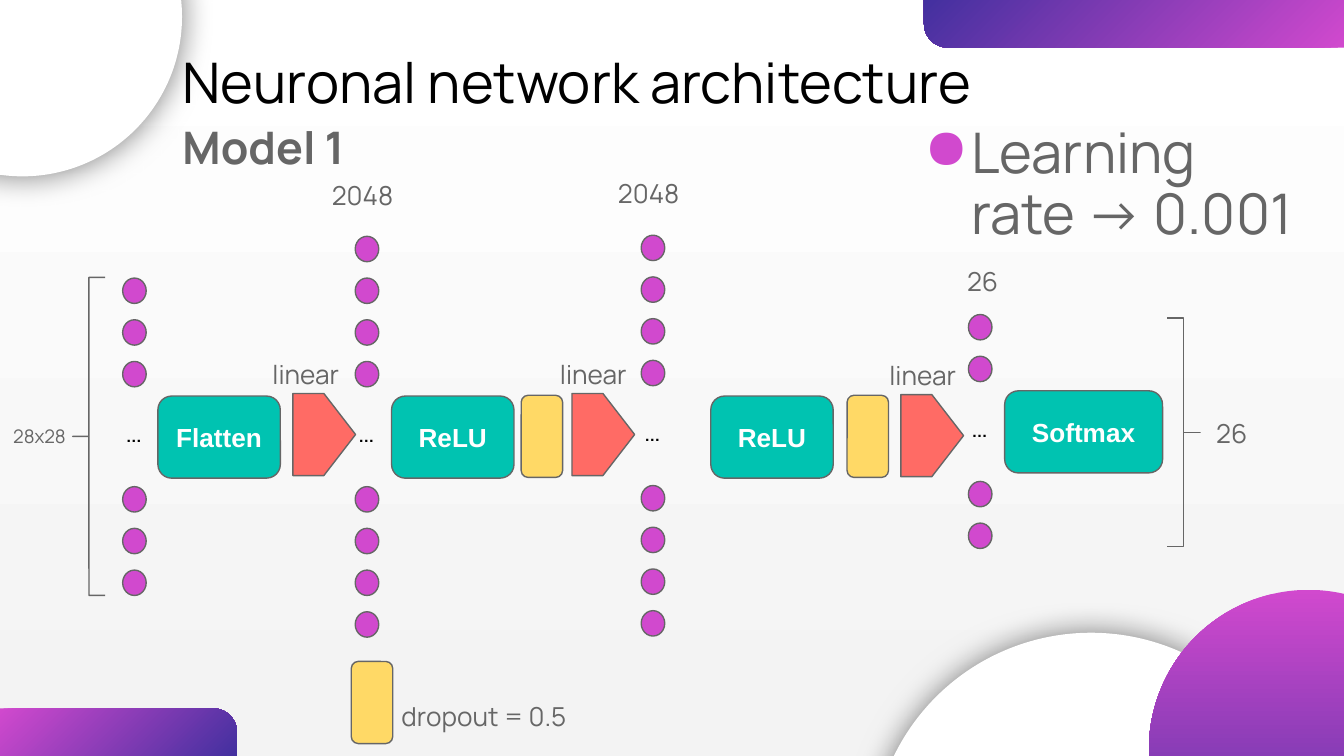
from dataclasses import dataclass

from lxml import etree
from pptx import Presentation
from pptx.dml.color import RGBColor
from pptx.enum.shapes import MSO_SHAPE
from pptx.enum.text import MSO_ANCHOR, PP_ALIGN
from pptx.oxml.ns import qn
from pptx.util import Pt

OVAL = MSO_SHAPE.OVAL
ROUND = MSO_SHAPE.ROUNDED_RECTANGLE
CORNER = MSO_SHAPE.ROUND_1_RECTANGLE
PLATE = MSO_SHAPE.PENTAGON
BRACE = MSO_SHAPE.LEFT_BRACE
TOP, MIDDLE = MSO_ANCHOR.TOP, MSO_ANCHOR.MIDDLE
LEFT, CENTER = PP_ALIGN.LEFT, PP_ALIGN.CENTER


@dataclass(frozen=True)
class Theme:
    """Colours, fonts and type sizes of the slide."""
    pink: str = "D149CE"
    violet: str = "43309F"
    teal: str = "00C3B1"
    yellow: str = "FFD966"
    coral: str = "FF6B65"
    gray: str = "666666"
    pale: str = "F3F3F3"
    white: str = "FFFFFF"
    black: str = "000000"
    font: str = "Manrope"
    sans: str = "Arial"
    big: int = 30
    mid: int = 24
    body: int = 14
    small: int = 10


T = Theme()
GATE_H = 44


def blend(fill, first, last, angle):
    """Fill with a two-colour gradient at a clockwise angle."""
    fill.gradient()
    fill.gradient_angle = (360 - angle) % 360
    for stop, color in zip(fill.gradient_stops, (first, last)):
        stop.color.rgb = RGBColor.from_string(color)


def shape(slide, kind, box, color=None, line=None, adjust=()):
    """Add a flat preset shape."""
    item = slide.shapes.add_shape(kind, *map(Pt, box))
    item.shadow.inherit = False
    if color:
        item.fill.solid()
        item.fill.fore_color.rgb = RGBColor.from_string(color)
    else:
        item.fill.background()
    if line:
        item.line.color.rgb = RGBColor.from_string(line)
        item.line.width = Pt(0.75)
    else:
        item.line.fill.background()
    for index, value in enumerate(adjust):
        item.adjustments[index] = value
    return item


def write(item, text, size=T.body, color=T.gray, font=T.font, bold=False,
          anchor=MIDDLE, align=LEFT):
    """Put one run of text into a shape and return its paragraph."""
    frame = item.text_frame
    frame.word_wrap = True
    frame.vertical_anchor = anchor
    frame.margin_left = frame.margin_right = Pt(7.2)
    frame.margin_top = frame.margin_bottom = Pt(7.2)
    para = frame.paragraphs[0]
    para.alignment = align
    run = para.add_run()
    run.text = text
    run.font.size = Pt(size)
    run.font.name = font
    run.font.bold = bold
    run.font.color.rgb = RGBColor.from_string(color)
    return para


def label(slide, box, text, **style):
    """Add a text box."""
    return write(slide.shapes.add_textbox(*map(Pt, box)), text, **style)


def glow(item):
    """Give a shape a soft dark halo."""
    effects = item.fill._xPr.find(qn("a:effectLst"))
    outer = etree.SubElement(effects, qn("a:outerShdw"), blurRad=str(Pt(16.9)),
                             dist="0", dir="0", algn="bl", rotWithShape="0")
    color = etree.SubElement(outer, qn("a:srgbClr"), val=T.black)
    etree.SubElement(color, qn("a:alpha"), val="50000")


def decor(slide, width, height):
    """Draw the background, corner bars and circles."""
    blend(slide.background.fill, T.white, T.pale, 90)
    bars = (((0, height - 25.5, 127, 25.5), 0),
            ((width - 225, 0, 225, 25.5), 180))
    for box, turn in bars:
        bar = shape(slide, CORNER, box, T.pink, adjust=(0.5,))
        bar.rotation = turn
        blend(bar.fill, T.pink, T.violet, 45)
    for box in ((467, 339, 235, 235), (-73.5, -76.5, 171, 171)):
        glow(shape(slide, OVAL, box, T.white))
    ball = shape(slide, OVAL, (615.5, 316, 171, 171), T.pink)
    blend(ball.fill, T.pink, T.violet, 90)


def header(slide, x, y):
    """Write the title, the model name and the learning rate."""
    label(slide, (x, y, 608, 37.5), "Neuronal network architecture",
          size=T.big, color=T.black)
    label(slide, (x, y + 32, 108, 44), "Model 1", size=T.mid, bold=True)
    para = label(slide, (x + 386.5, y + 35.5, 222.5, 32),
                 "Learning rate -> 0.001", size=T.big, anchor=TOP)
    para.line_spacing = 0.9
    props = para._p.get_or_add_pPr()
    props.set("marL", str(Pt(36)))
    props.set("indent", str(Pt(-25.2)))
    color = etree.SubElement(props, qn("a:buClr"))
    etree.SubElement(color, qn("a:srgbClr"), val=T.pink)
    etree.SubElement(props, qn("a:buChar"), char="●")


def column(slide, x, mid, count):
    """Draw a layer of neurons, count above and count below the ellipsis."""
    wide, high, pitch = 12.6, 13.6, 22.35
    for sign in (-1, 1):
        for step in range(count):
            y = mid + sign * (step + 1.5) * pitch - high / 2
            shape(slide, OVAL, (x, y, wide, high), T.pink, T.gray)
    label(slide, (x - 5.5, mid - 18, 40, 31.5), "…", color=T.black, anchor=TOP)


def gate(slide, x, y, wide, text):
    """Draw a named operation."""
    item = shape(slide, ROUND, (x, y, wide, GATE_H), T.teal, T.gray, (0.167,))
    write(item, text, color=T.white, font=T.sans, bold=True, align=CENTER)


def drop(slide, x, y):
    """Draw a dropout block."""
    shape(slide, ROUND, (x, y, 22.2, GATE_H), T.yellow, T.gray, (0.167,))


def link(slide, x, y, shift):
    """Draw a linear step with its caption."""
    shape(slide, PLATE, (x, y, 33.6, GATE_H), T.coral, T.gray, (0.506,))
    label(slide, (x - shift, y - 26.2, 58, 31.5), "linear")


def network(slide, x, y):
    """Draw the whole network from the top left of its first gate."""
    columns = ((-18.9, 21.8, 3), (105.7, 21.8, 4),
               (258.9, 21.2, 4), (434.2, 19, 2))
    for left, mid, count in columns:
        column(slide, x + left, y + mid, count)
    gates = ((0, 0, 65.6, "Flatten"), (125.2, 0, 65.6, "ReLU"),
             (296.2, 0, 65.6, "ReLU"), (453.6, -2.8, 84.6, "Softmax"))
    for left, top, wide, text in gates:
        gate(slide, x + left, y + top, wide, text)
    for left in (194.6, 369.2):
        drop(slide, x + left, y - 0.4)
    for left, top, shift in ((72.3, -1.4, 18), (221.8, -1.4, 13.5), (398, -0.8, 13.2)):
        link(slide, x + left, y + top, shift)
    brace = shape(slide, BRACE, (x - 45.7, y - 63.6, 17.5, 170.4),
                  line=T.gray, adjust=(0, 0.5))
    brace.rotation = 0
    brace = shape(slide, BRACE, (x + 540.8, y - 41.8, 17.5, 122.4),
                  line=T.gray, adjust=(0, 0.5))
    brace.rotation = 180
    label(slide, (x - 84.6, y + 8, 45.5, 26.5), "28x28", size=T.small)
    sizes = ((86.1, -123.7, 52.5, "2048"), (239.4, -124.3, 52.5, "2048"),
             (426.4, -77.2, 45.5, "26"), (559.8, 3.8, 45.5, "26"))
    for left, top, wide, text in sizes:
        label(slide, (x + left, y + top, wide, 31.5), text)


def legend(slide, x, y):
    """Explain the dropout block."""
    drop(slide, x, y)
    label(slide, (x + 19.8, y + 13.4, 194, 31.5), "dropout = 0.5")


def main():
    """Build and save the slide."""
    deck = Presentation()
    width, height = 720, 405
    deck.slide_width, deck.slide_height = Pt(width), Pt(height)
    slide = deck.slides.add_slide(deck.slide_layouts[6])
    decor(slide, width, height)
    header(slide, 90.7, 24.5)
    network(slide, 84.6, 212.2)
    legend(slide, 188.2, 354.4)
    deck.save("out.pptx")


if __name__ == "__main__":
    main()
